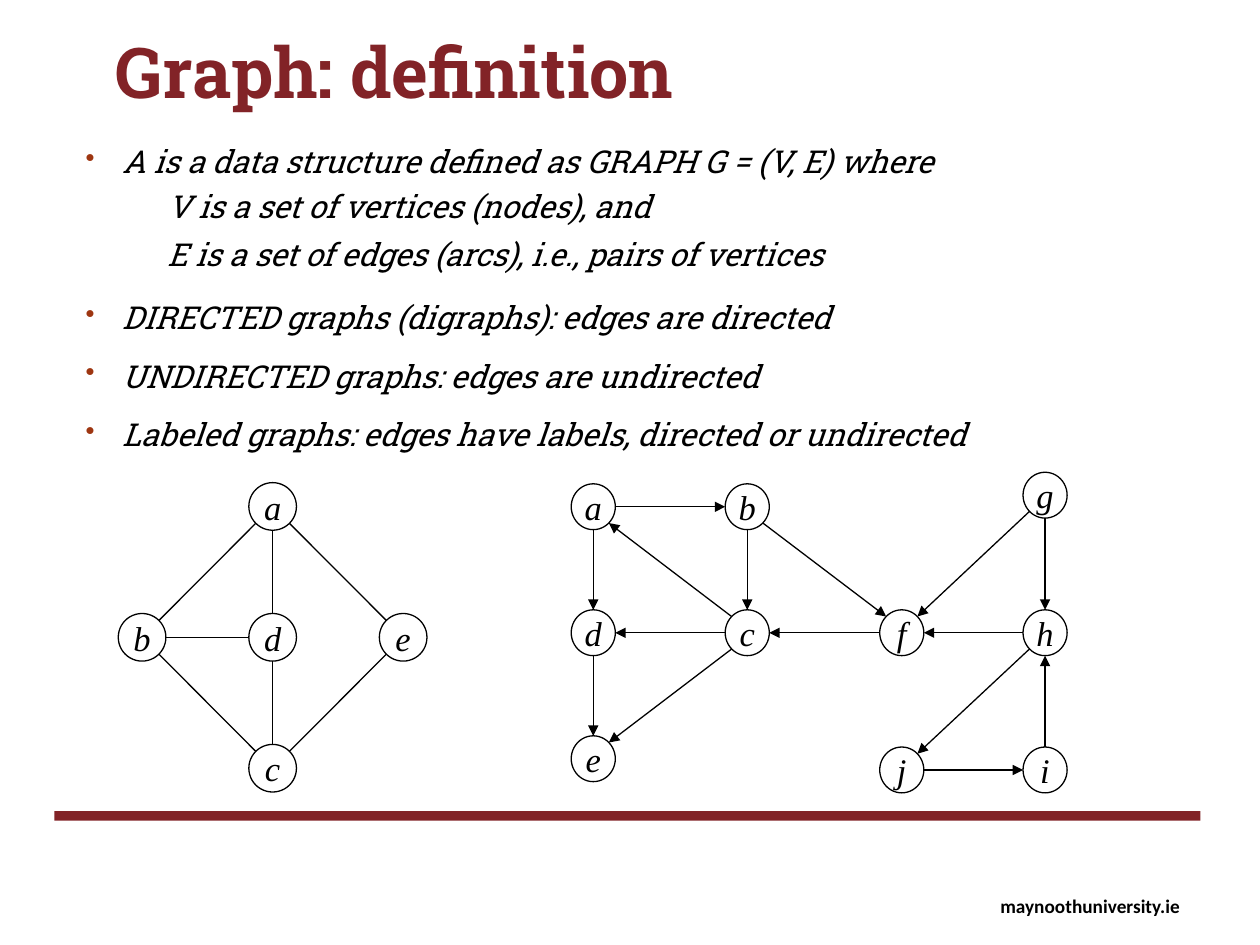
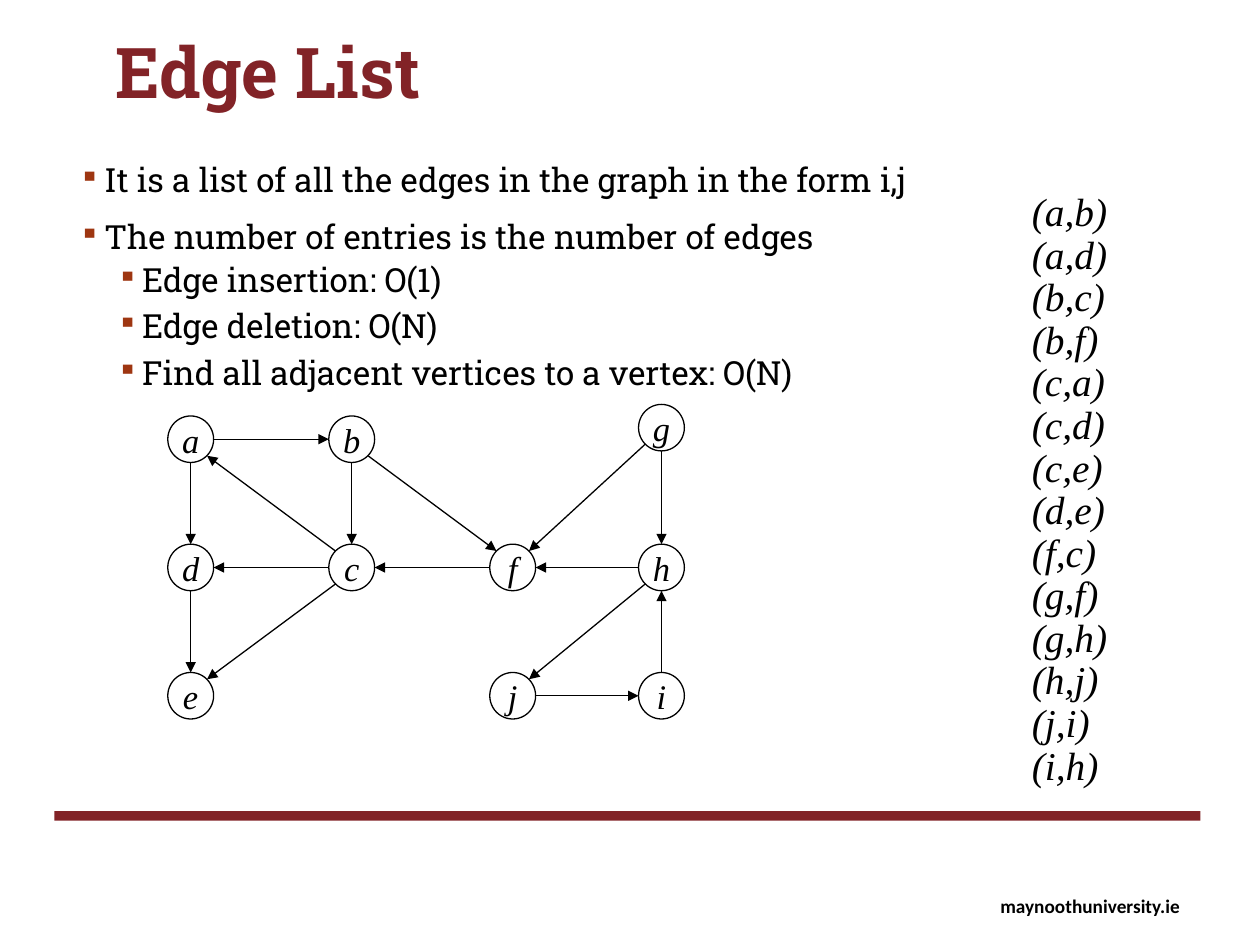
"""Builds two slides on graphs: the definition and the edge list."""
from lxml import etree
from pptx import Presentation
from pptx import util as u
from pptx.dml.color import RGBColor
from pptx.enum import shapes, text
from pptx.oxml import ns

Pt = u.Pt


class Theme:
    brand = RGBColor.from_string("822327")
    ink = RGBColor.from_string("000000")
    paper = RGBColor.from_string("FFFFFF")
    bullet = "9E3611"
    slab, serif, sans = "Roboto Slab", "Times New Roman", "Calibri"
    title, body, points, node, pair, foot = 40, 18, 19, 19.7, 22.5, 11
    stroke = 0.75


def write(frame, lines, face, size, ink=Theme.ink, bold=False, slant=False, lead=None):
    frame.text = "\n".join(lines)
    for para in frame.paragraphs:
        para.line_spacing = lead
        for run in para.runs:
            font = run.font
            font.name, font.size, font.color.rgb = face, Pt(size), ink
            font.bold, font.italic = bold, slant


def add_box(slide, left, top, width, height, wrap=True):
    frame = slide.shapes.add_textbox(Pt(left), Pt(top), Pt(width), Pt(height)).text_frame
    frame.word_wrap = wrap
    return frame


deck = Presentation()
deck.slide_width, deck.slide_height = Pt(720), Pt(540)

pairs = "ab ad bc bf ca cd ce de fc gf gh hj ji ih".split()
web = {"a": (0, 1), "b": (1, 1), "c": (1, 2), "d": (0, 2), "e": (0, 3),
       "f": (2, 2), "g": (3, 0), "h": (3, 2), "i": (3, 4), "j": (2, 4)}
kite = {"a": (1, 0), "b": (0, 1), "c": (1, 2), "d": (1, 1), "e": (2, 1)}
arcs = pairs + ["hf"]
ties = "ad dc bd ab ae ec cb".split()

pages = [
    dict(
        title="Graph: definition",
        box=(41.8, 77.8, 630, 360), size=Theme.body, slant=True, lead=1,
        mark="•", hang=20.9, inset=46.8, submark=None,
        lines=[
            (0, "A is a data structure defined as GRAPH G = (V, E) where"),
            (1, "V is a set of vertices (nodes), and"),
            (1, "E is a set of edges (arcs), i.e., pairs of vertices"),
            (0, "DIRECTED graphs (digraphs): edges are directed"),
            (0, "UNDIRECTED graphs: edges are undirected"),
            (0, "Labeled graphs: edges have labels, directed or undirected"),
        ],
        graphs=[
            (web, arcs, True, (339, 427, 515.3, 597.2),
             (283, 289.6, 361.6, 433.6, 440), 12.6, 13.1),
            (kite, ties, False, (81.2, 155.8, 230.4), (289.4, 364.2, 439), 13.6, 13.6),
        ],
    ),
    dict(
        title="Edge List",
        box=(38.2, 90, 681.8, 152), size=Theme.points, slant=False, lead=0.9,
        mark="▪", hang=14.4, inset=36, submark="▪",
        lines=[
            (0, "It is a list of all the edges in the graph in the form i,j"),
            (0, "The number of entries is the number of edges"),
            (1, "Edge insertion: O(1)"),
            (1, "Edge deletion: O(N)"),
            (1, "Find all adjacent vertices to a vertex: O(N)"),
        ],
        graphs=[
            (web, arcs, True, (109, 201, 293, 378),
             (244.4, 251, 324.3, 397.6, 397.6), 13.1, 13.3),
        ],
    ),
]

for page in pages:
    slide = deck.slides.add_slide(deck.slide_layouts[6])
    write(add_box(slide, 564.5, 507.6, 118.8, 20.9, False),
          ["maynoothuniversity.ie"], Theme.sans, Theme.foot, bold=True)
    band = slide.shapes.add_shape(
        shapes.MSO_SHAPE.RECTANGLE, Pt(31), Pt(463.5), Pt(655), Pt(5.5))
    band.shadow.inherit = False
    band.fill.solid()
    band.fill.fore_color.rgb = Theme.brand
    band.line.fill.background()
    write(add_box(slide, 59, 18, 595.4, 88.6), [page["title"]], Theme.slab,
          Theme.title, Theme.brand, bold=True, lead=0.9)

    frame = add_box(slide, *page["box"])
    write(frame, [line for _, line in page["lines"]], Theme.slab, page["size"],
          slant=page["slant"], lead=page["lead"])
    for spot, (para, (level, _)) in enumerate(zip(frame.paragraphs, page["lines"])):
        para.level = level
        mark = page["submark"] if level else page["mark"]
        props = para._p.get_or_add_pPr()
        props.set("marL", str(Pt(page["inset"] if level else page["hang"])))
        props.set("indent", str(-Pt(page["hang"]) if mark else 0))
        if mark:
            tint = etree.SubElement(props, ns.qn("a:buClr"))
            etree.SubElement(tint, ns.qn("a:srgbClr"), val=Theme.bullet)
            etree.SubElement(props, ns.qn("a:buSzPct"), val="85000")
            etree.SubElement(props, ns.qn("a:buChar"), char=mark)
        if spot:
            para.space_before = Pt(4 if level else 12)
        if level:
            para.space_after = Pt(2)

    for nodes, links, arrow, cols, rows, wide, high in page["graphs"]:
        for name, (col, row) in nodes.items():
            node = slide.shapes.add_shape(
                shapes.MSO_SHAPE.OVAL, Pt(cols[col] - wide), Pt(rows[row] - high),
                Pt(2 * wide), Pt(2 * high))
            node.shadow.inherit = False
            node.fill.solid()
            node.fill.fore_color.rgb = Theme.paper
            node.line.color.rgb, node.line.width = Theme.ink, Pt(Theme.stroke)
            frame = node.text_frame
            frame.word_wrap = False
            frame.vertical_anchor = text.MSO_ANCHOR.MIDDLE
            write(frame, [name], Theme.serif, Theme.node, slant=True)
            frame.paragraphs[0].alignment = text.PP_ALIGN.CENTER
        for start, end in links:
            (c1, r1), (c2, r2) = nodes[start], nodes[end]
            x1, y1, x2, y2 = cols[c1], rows[r1], cols[c2], rows[r2]
            dx, dy = (x2 > x1) - (x2 < x1), (y2 > y1) - (y2 < y1)
            reach = 0.71 if dx and dy else 1
            dx, dy = dx * wide * reach, dy * high * reach
            edge = slide.shapes.add_connector(
                shapes.MSO_CONNECTOR.STRAIGHT, Pt(x1 + dx), Pt(y1 + dy),
                Pt(x2 - dx), Pt(y2 - dy))
            edge.line.color.rgb, edge.line.width = Theme.ink, Pt(Theme.stroke)
            if arrow:
                etree.SubElement(edge.line._get_or_add_ln(), ns.qn("a:tailEnd"),
                                 type="triangle")
            etree.SubElement(edge._element.spPr, ns.qn("a:effectLst"))

write(add_box(slide, 582.5, 106.6, 59, 350.6, False),
      [f"({start},{end})" for start, end in pairs],
      Theme.serif, Theme.pair, slant=True, lead=0.9)

deck.save("out.pptx")
